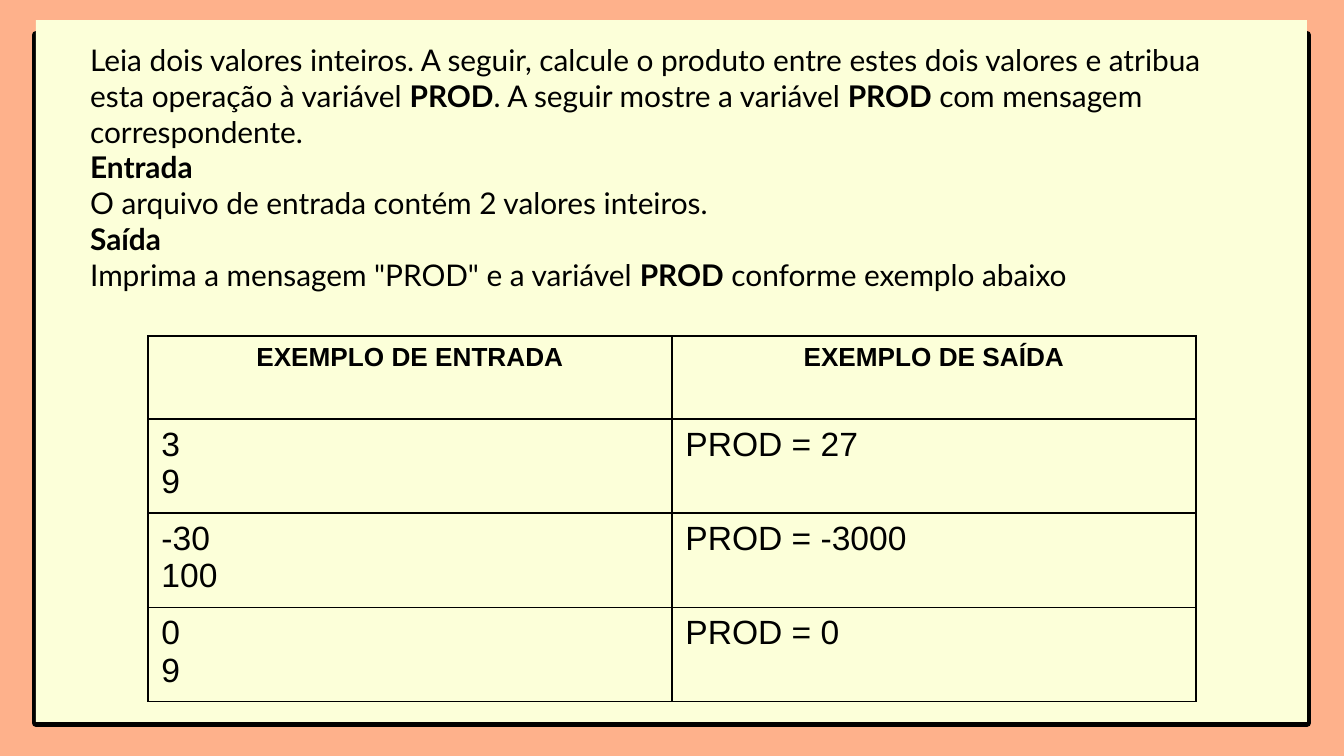
from typing import NamedTuple

from lxml.etree import SubElement
from pptx import Presentation
from pptx.dml.color import RGBColor
from pptx.enum.shapes import MSO_SHAPE
from pptx.enum.text import PP_ALIGN
from pptx.oxml.ns import qn
from pptx.util import Pt

EMU_PER_PX = 9144000 / 1344
COLORS = {"background": "FEB18B", "card": "FCFFD9", "ink": "000000"}
BORDER_PT = 0.75


class Box(NamedTuple):
    left: int
    top: int
    width: int
    height: int


class Span(NamedTuple):
    text: str
    bold: bool = False


class Style(NamedTuple):
    font: str
    size: int


class Example(NamedTuple):
    inputs: tuple[str, ...]
    output: str


STATEMENT_STYLE = Style("Lato", 16)
HEADER_STYLE = Style("Arial", 14)
EXAMPLE_STYLE = Style("Arial", 18)
PROD = Span("PROD", True)

STATEMENT = [
    [
        Span("Leia dois valores inteiros. A seguir, calcule o produto entre estes "
             "dois valores e atribua esta operação à variável "),
        PROD,
        Span(". A seguir mostre a variável "),
        PROD,
        Span(" com mensagem correspondente."),
    ],
    [Span("Entrada", True)],
    [Span("O arquivo de entrada contém 2 valores inteiros.")],
    [Span("Saída", True)],
    [
        Span('Imprima a mensagem "PROD" e a variável '),
        PROD,
        Span(" conforme exemplo abaixo"),
    ],
]
HEADERS = ("EXEMPLO DE ENTRADA", "EXEMPLO DE SAÍDA")
EXAMPLES = [
    Example(("3", "9"), "PROD = 27"),
    Example(("-30", "100"), "PROD = -3000"),
    Example(("0", "9"), "PROD = 0"),
]

CARD_SHADOW = Box(36, 35, 1271, 688)
CARD = Box(36, 20, 1271, 702)
STATEMENT_BOX = Box(77, 35, 1191, 267)
HEADER_HEIGHT, EXAMPLE_HEIGHT = 83, 94
TABLE = Box(148, 336, 1048, HEADER_HEIGHT + EXAMPLE_HEIGHT * len(EXAMPLES))


def px(length: int) -> int:
    return round(length * EMU_PER_PX)


def place(box: Box) -> list[int]:
    return [px(length) for length in box]


def rgb(name: str) -> RGBColor:
    return RGBColor.from_string(COLORS[name])


def add_card(slide, box: Box, outline_pt: float = 0) -> None:
    card = slide.shapes.add_shape(MSO_SHAPE.RECTANGLE, *place(box))
    card.shadow.inherit = False
    card.fill.solid()
    card.fill.fore_color.rgb = rgb("card")
    if outline_pt:
        card.line.color.rgb = rgb("ink")
        card.line.width = Pt(outline_pt)
    else:
        card.line.fill.background()


def write(frame, paragraphs: list[list[Span]], style: Style,
          alignments: list[PP_ALIGN]) -> None:
    """Fill a text frame, one alignment per paragraph."""
    for index, (spans, alignment) in enumerate(zip(paragraphs, alignments)):
        paragraph = frame.paragraphs[0] if index == 0 else frame.add_paragraph()
        paragraph.alignment = alignment
        for span in spans:
            run = paragraph.add_run()
            run.text = span.text
            run.font.name = style.font
            run.font.size = Pt(style.size)
            run.font.bold = span.bold
            run.font.color.rgb = rgb("ink")


def add_statement(slide) -> None:
    frame = slide.shapes.add_textbox(*place(STATEMENT_BOX)).text_frame
    frame.word_wrap = True
    justified = [PP_ALIGN.JUSTIFY] * (len(STATEMENT) - 1)
    write(frame, STATEMENT, STATEMENT_STYLE, [PP_ALIGN.LEFT, *justified])


def outline_cell(cell) -> None:
    properties = cell._tc.get_or_add_tcPr()
    for side in ("a:lnL", "a:lnR", "a:lnT", "a:lnB"):
        border = SubElement(properties, qn(side), w=str(Pt(BORDER_PT)))
        fill = SubElement(border, qn("a:solidFill"))
        SubElement(fill, qn("a:srgbClr"), val=COLORS["ink"])
    cell.fill.background()


def fill_cell(cell, lines: tuple[str, ...], style: Style,
              alignment: PP_ALIGN, bold: bool = False) -> None:
    outline_cell(cell)
    paragraphs = [[Span(line, bold)] for line in lines]
    write(cell.text_frame, paragraphs, style, [alignment] * len(lines))


def add_examples(slide) -> None:
    table = slide.shapes.add_table(
        len(EXAMPLES) + 1, len(HEADERS), *place(TABLE)).table
    table.first_row = table.horz_banding = False
    for column in table.columns:
        column.width = px(TABLE.width // len(HEADERS))
    table.rows[0].height = px(HEADER_HEIGHT)
    for index, header in enumerate(HEADERS):
        fill_cell(table.cell(0, index), (header,), HEADER_STYLE,
                  PP_ALIGN.CENTER, bold=True)
    for index, example in enumerate(EXAMPLES, start=1):
        table.rows[index].height = px(EXAMPLE_HEIGHT)
        for column, lines in enumerate((example.inputs, (example.output,))):
            fill_cell(table.cell(index, column), lines, EXAMPLE_STYLE,
                      PP_ALIGN.LEFT)


def main() -> None:
    presentation = Presentation()
    presentation.slide_width = px(1344)
    presentation.slide_height = px(756)
    slide = presentation.slides.add_slide(presentation.slide_layouts[6])
    slide.background.fill.solid()
    slide.background.fill.fore_color.rgb = rgb("background")
    add_card(slide, CARD_SHADOW, outline_pt=4.5)
    add_card(slide, CARD)
    add_statement(slide)
    add_examples(slide)
    presentation.save("out.pptx")


if __name__ == "__main__":
    main()
